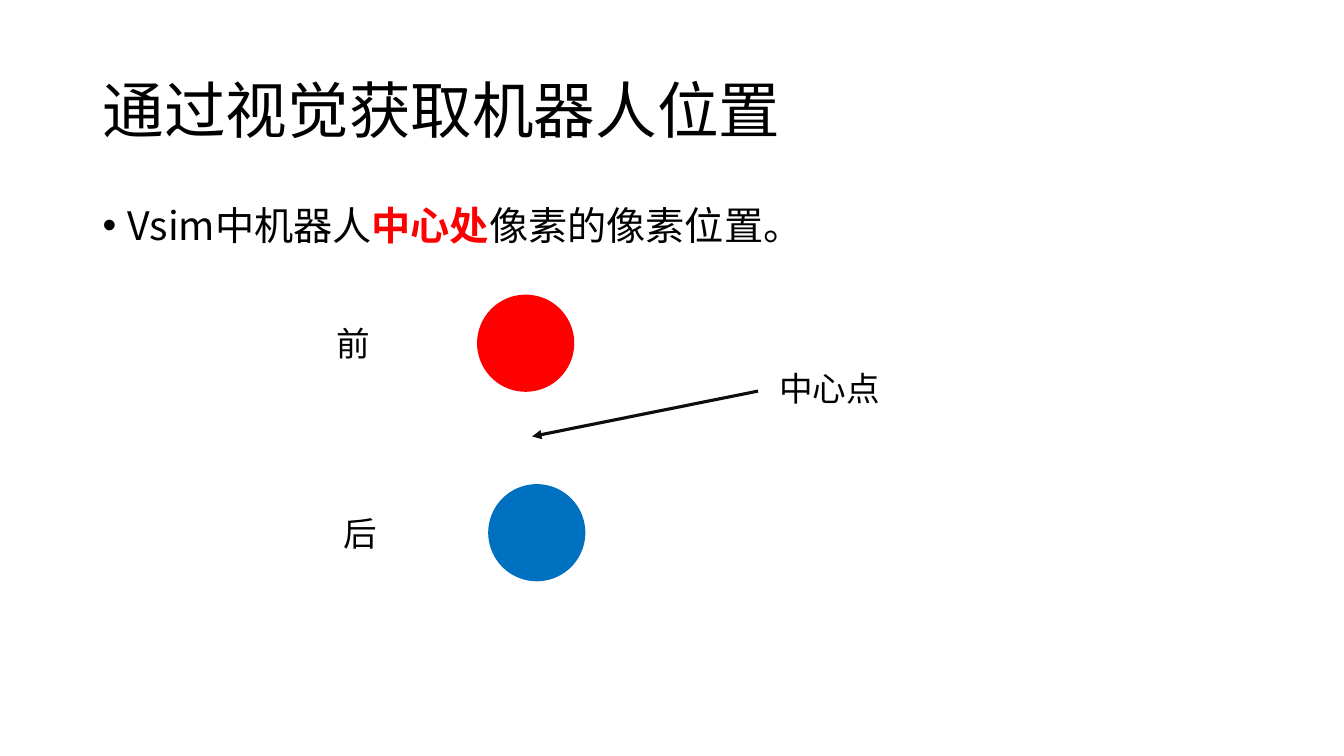
"""Build a slide on locating a robot by the pixel position of its centre."""
from dataclasses import dataclass

from pptx import Presentation
from pptx.dml.color import RGBColor
from pptx.enum.shapes import MSO_CONNECTOR, MSO_SHAPE
from pptx.enum.text import MSO_ANCHOR as Anchor
from pptx.oxml.ns import qn
from pptx.slide import Slide
from pptx.util import Emu, Inches, Pt
from lxml.etree import SubElement

BLACK = RGBColor(0x00, 0x00, 0x00)
RED = RGBColor(0xFF, 0x00, 0x00)
BLUE = RGBColor(0x00, 0x70, 0xC0)
INK = RGBColor(0x0D, 0x0D, 0x0D)
FONT = "Noto Sans CJK SC"
WIDTH, HEIGHT = Inches(13.333), Inches(7.5)
COLUMNS, ROWS = 160, 90
DIAMETER = 11.4
LABEL_WIDTH, LABEL_HEIGHT = 22.08, 6


@dataclass(frozen=True)
class Span:
    text: str
    color: RGBColor = BLACK
    bold: bool = False


@dataclass(frozen=True)
class TextBlock:
    left: float
    top: float
    spans: tuple[Span, ...]
    width: float = LABEL_WIDTH
    height: float = LABEL_HEIGHT
    size: int = 24
    line_spacing: float = 1.0
    anchor: Anchor = Anchor.TOP
    bulleted: bool = False


@dataclass(frozen=True)
class Marker:
    left: float
    top: float
    color: RGBColor


TEXT_BLOCKS = (
    TextBlock(11.04, 4.8, (Span("通过视觉获取机器人位置"),), 138, 17.4, 44, 0.9, Anchor.MIDDLE),
    TextBlock(
        11.04, 24,
        (Span("Vsim中机器人"), Span("中心处", RED, True), Span("像素的像素位置。")),
        138, 57.12, 28, 0.9, bulleted=True,
    ),
    TextBlock(91.56, 43.2, (Span("中心点"),)),
    TextBlock(38.88, 37.8, (Span("前"),)),
    TextBlock(39.72, 60.48, (Span("后"),)),
)
MARKERS = (Marker(56.88, 35.16, RED), Marker(58.2, 57.72, BLUE))


def across(columns: float) -> Emu:
    """Convert grid columns to a length."""
    return Emu(round(WIDTH * columns / COLUMNS))


def down(rows: float) -> Emu:
    """Convert grid rows to a length."""
    return Emu(round(HEIGHT * rows / ROWS))


def draw_text(page: Slide, block: TextBlock) -> None:
    """Draw one paragraph of styled spans."""
    box = page.shapes.add_textbox(
        across(block.left), down(block.top), across(block.width), down(block.height)
    )
    frame = box.text_frame
    frame.word_wrap = True
    frame.vertical_anchor = block.anchor
    para = frame.paragraphs[0]
    para.line_spacing = block.line_spacing
    if block.bulleted:
        para.space_before = Pt(10)
        properties = para._p.get_or_add_pPr()
        properties.set("marL", str(Inches(0.25)))
        properties.set("indent", str(Inches(-0.25)))
        SubElement(properties, qn("a:buFont"), typeface="Arial")
        SubElement(properties, qn("a:buChar"), char="•")
    for span in block.spans:
        run = para.add_run()
        run.text = span.text
        run.font.size = Pt(block.size)
        run.font.bold = span.bold
        run.font.color.rgb = span.color
        run.font.name = FONT
        SubElement(run._r.get_or_add_rPr(), qn("a:ea"), typeface=FONT)


def draw_marker(page: Slide, marker: Marker) -> None:
    """Draw one coloured disc of the robot."""
    disc = page.shapes.add_shape(
        MSO_SHAPE.OVAL, across(marker.left), down(marker.top), across(DIAMETER), down(DIAMETER)
    )
    disc.shadow.inherit = False
    disc.fill.solid()
    disc.fill.fore_color.rgb = marker.color
    disc.line.color.rgb = marker.color
    disc.line.width = Pt(1)


def draw_centre_arrow(page: Slide) -> None:
    """Draw the arrow from the label to the centre point."""
    arrow = page.shapes.add_connector(
        MSO_CONNECTOR.STRAIGHT, across(90.24), down(46.56), across(63.36), down(51.96)
    )
    arrow.line.color.rgb = INK
    arrow.line.width = Pt(2.25)
    SubElement(arrow.line._get_or_add_ln(), qn("a:tailEnd"), type="triangle")
    SubElement(arrow._element.spPr, qn("a:effectLst"))


def main() -> None:
    """Build and save the deck."""
    deck = Presentation()
    deck.slide_width, deck.slide_height = WIDTH, HEIGHT
    page = deck.slides.add_slide(deck.slide_layouts[6])
    for marker in MARKERS:
        draw_marker(page, marker)
    draw_centre_arrow(page)
    for block in TEXT_BLOCKS:
        draw_text(page, block)
    deck.save("out.pptx")


if __name__ == "__main__":
    main()
